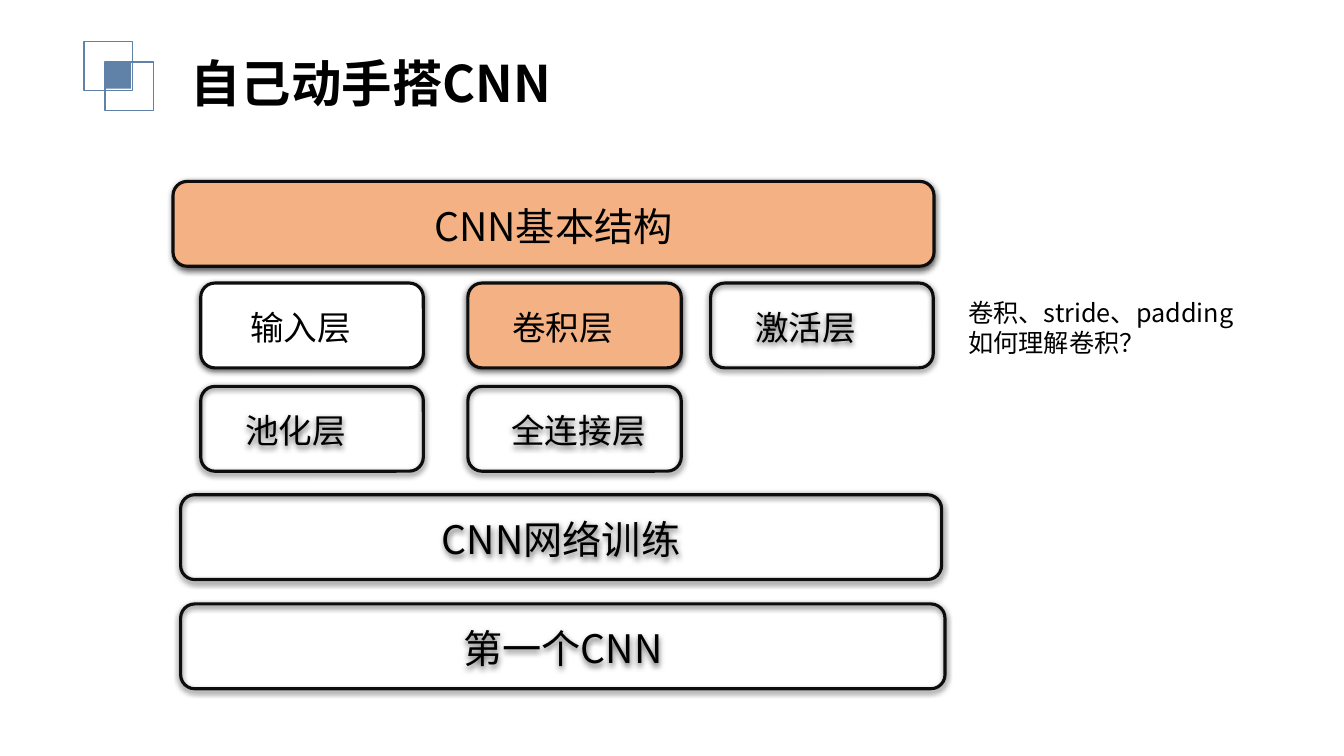
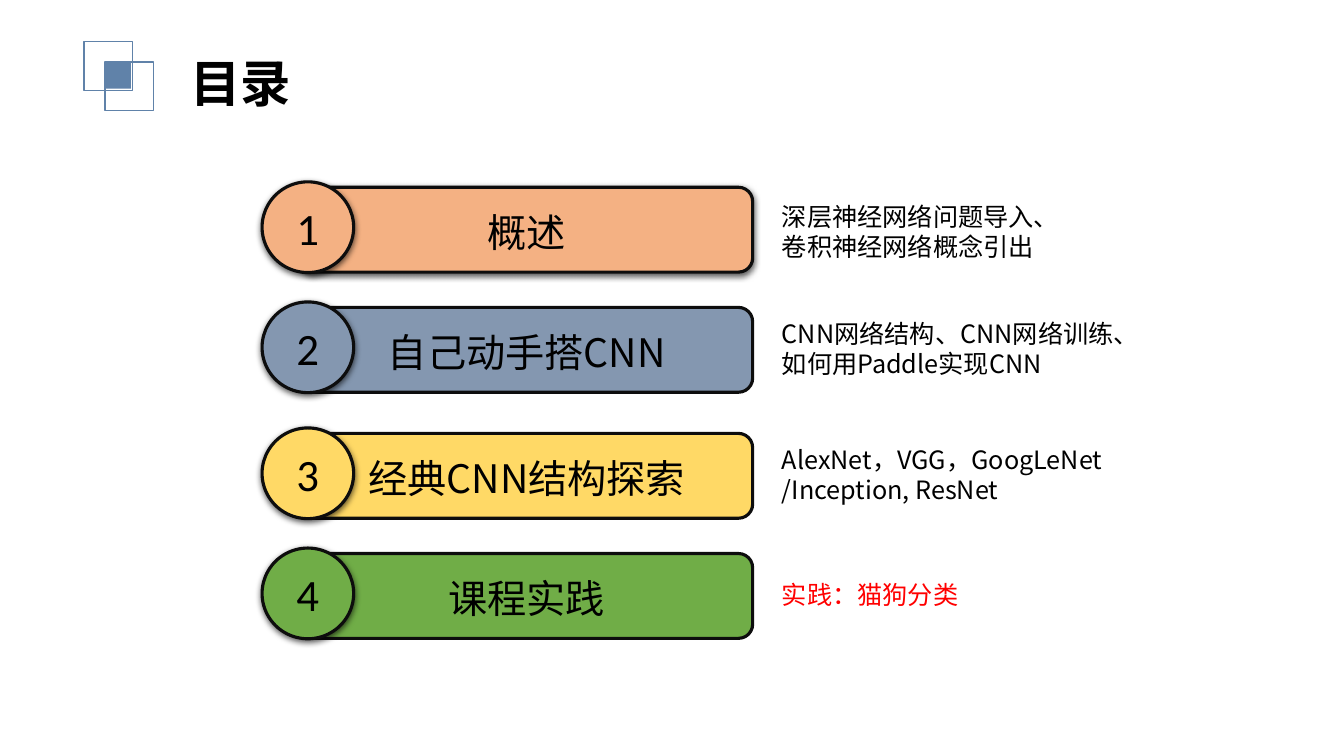
"""Build two outline slides of a lesson on convolutional networks."""
from lxml.etree import SubElement
from pptx import Presentation
from pptx.dml.color import RGBColor
from pptx.enum.shapes import MSO_SHAPE
from pptx.enum.text import MSO_ANCHOR, MSO_AUTO_SIZE, PP_ALIGN
from pptx.oxml.ns import qn
from pptx.util import Inches, Pt

BLACK = RGBColor(0x00, 0x00, 0x00)
WHITE = RGBColor(0xFF, 0xFF, 0xFF)
RED = RGBColor(0xFF, 0x00, 0x00)
INK = RGBColor(0x0D, 0x0D, 0x0D)
STEEL = RGBColor(0x60, 0x82, 0xA9)
ORANGE = RGBColor(0xF4, 0xB1, 0x83)
SLATE = RGBColor(0x84, 0x97, 0xB0)
YELLOW = RGBColor(0xFF, 0xD9, 0x66)
GREEN = RGBColor(0x70, 0xAD, 0x47)

COLUMNS, ROWS = 160, 90
TEXT_FONT, NUMBER_FONT = "Noto Sans CJK SC", "Calibri"
BOX_HEIGHT = 10.1
LABEL_SPACING, NOTE_SPACING = 1.3, 1.2


class Deck:
    """Hold the style and the current slide."""

    def __init__(self):
        """Start an empty wide presentation."""
        self.presentation = Presentation()
        self.presentation.slide_width = Inches(13.33)
        self.presentation.slide_height = Inches(7.5)
        self.slide = None

    def across(self, columns):
        """Turn columns into a length."""
        return round(self.presentation.slide_width * columns / COLUMNS)

    def down(self, rows):
        """Turn rows into a length."""
        return round(self.presentation.slide_height * rows / ROWS)

    def place(self, left, top, width, height):
        """Turn a grid place into four lengths."""
        return self.across(left), self.down(top), self.across(width), self.down(height)

    def new_slide(self, title):
        """Add a slide with the square emblem and a title."""
        self.slide = self.presentation.slides.add_slide(self.presentation.slide_layouts[6])
        for left, top in ((10, 4.95), (12.5, 7.4)):
            self.shape(MSO_SHAPE.RECTANGLE, (left, top, 5.8, 5.8), line=STEEL, weight=1)
        self.shape(MSO_SHAPE.RECTANGLE, (12.6, 7.3, 3, 3.25), fill=STEEL, line=None)
        self.text_box((21.5, 5, 55, 8.5), [title], 36, LABEL_SPACING, bold=True)

    def shape(self, kind, place, fill=None, line=INK, weight=2.25, shadow=False):
        """Add a preset shape."""
        shape = self.slide.shapes.add_shape(kind, *self.place(*place))
        shape.shadow.inherit = False
        if fill is None:
            shape.fill.background()
        else:
            shape.fill.solid()
            shape.fill.fore_color.rgb = fill
        if line is None:
            shape.line.fill.background()
        else:
            shape.line.color.rgb = line
            shape.line.width = Pt(weight)
        if shadow:
            self.drop_shadow(shape)
        return shape

    def drop_shadow(self, shape):
        """Cast a soft shadow below a shape."""
        effects = shape._element.spPr.find(qn("a:effectLst"))
        outer = SubElement(effects, qn("a:outerShdw"), blurRad=str(Pt(4.5)),
                           dist=str(Pt(1.5)), dir="5400000", algn="t", rotWithShape="0")
        color = SubElement(outer, qn("a:srgbClr"), val=str(BLACK))
        SubElement(color, qn("a:alpha"), val="63000")

    def add_text(self, paragraph, text, size, spacing=None, font=TEXT_FONT,
                 color=BLACK, bold=False, align=PP_ALIGN.LEFT):
        """Add one styled run to a paragraph."""
        paragraph.alignment = align
        if spacing:
            paragraph.line_spacing = Pt(size * spacing)
        run = paragraph.add_run()
        run.text = text
        run.font.size = Pt(size)
        run.font.bold = bold
        run.font.color.rgb = color
        run.font.name = font
        SubElement(run._r.get_or_add_rPr(), qn("a:ea"), typeface=font)

    def text_box(self, place, lines, size, spacing, color=BLACK, bold=False):
        """Add a wrapped text box with one paragraph per line."""
        frame = self.slide.shapes.add_textbox(*self.place(*place)).text_frame
        frame.word_wrap = True
        frame.auto_size = MSO_AUTO_SIZE.SHAPE_TO_FIT_TEXT
        for index, line in enumerate(lines):
            paragraph = frame.add_paragraph() if index else frame.paragraphs[0]
            self.add_text(paragraph, line, size, spacing, color=color, bold=bold)

    def note(self, left, top, width, lines, color=BLACK):
        """Add a side note."""
        height = 1.2 + 3.65 * len(lines)
        self.text_box((left, top, width, height), lines, 18, NOTE_SPACING, color)

    def box(self, left, top, width, text, fill=None, size=28, shadow=True,
            indent=0, align=PP_ALIGN.CENTER):
        """Add a rounded box with a label."""
        shape = self.shape(MSO_SHAPE.ROUNDED_RECTANGLE, (left, top, width, BOX_HEIGHT),
                           fill, shadow=shadow)
        frame = shape.text_frame
        frame.margin_left += self.across(indent)
        frame.vertical_anchor = MSO_ANCHOR.MIDDLE
        self.add_text(frame.paragraphs[0], text, size, LABEL_SPACING, align=align)

    def badge(self, left, top, number, fill):
        """Add a numbered circle."""
        shape = self.shape(MSO_SHAPE.OVAL, (left, top, 10.9, 10.8), fill, shadow=True)
        frame = shape.text_frame
        frame.vertical_anchor = MSO_ANCHOR.MIDDLE
        self.add_text(frame.paragraphs[0], str(number), 32, font=NUMBER_FONT,
                      align=PP_ALIGN.CENTER)


def build_structure(deck):
    """Build the slide on the parts of a network."""
    deck.new_slide("自己动手搭CNN")
    deck.box(20.6, 21.6, 90.6, "CNN基本结构", ORANGE)
    first, second, third = (23.9, 26.5), (55.7, 25.4), (84.6, 26.5)
    upper, lower = 33.7, 46
    left, center = PP_ALIGN.LEFT, PP_ALIGN.CENTER
    layers = (
        (first, upper, "输入层", WHITE, 4.2, left),
        (second, upper, "卷积层", ORANGE, 3.6, left),
        (third, upper, "激活层", None, 3.6, left),
        (first, lower, "池化层", None, 3.6, left),
        (second, lower, "全连接层", None, 0.9, center),
    )
    for (column, width), top, name, fill, indent, align in layers:
        deck.box(column, top, width, name, fill, 24, indent=indent, align=align)
    deck.box(21.5, 58.9, 90.6, "CNN网络训练")
    deck.box(21.5, 71.9, 91, "第一个CNN")
    deck.note(114.1, 34.8, 42.2, ["卷积、stride、padding", "如何理解卷积？"])


def build_contents(deck):
    """Build the contents slide."""
    deck.new_slide("目录")
    chapters = (
        (22.3, "概述", ORANGE, 23.4, ["深层神经网络问题导入、", "卷积神经网络概念引出"], BLACK),
        (36.6, "自己动手搭CNN", SLATE, 37.3,
         ["CNN网络结构、CNN网络训练、如何用Paddle实现CNN"], BLACK),
        (51.6, "经典CNN结构探索", YELLOW, 52.3,
         ["AlexNet，VGG，GoogLeNet /Inception, ResNet"], BLACK),
        (65.9, "课程实践", GREEN, 68.4, ["实践：猫狗分类"], RED),
    )
    for number, (top, name, fill, note_top, lines, color) in enumerate(chapters, 1):
        deck.box(35.8, top, 53.8, name, fill, shadow=number == 1)
        deck.badge(31.2, top - 0.65, number, fill)
        deck.note(91.9, note_top, 45.1, lines, color)


def main():
    """Build and save the presentation."""
    deck = Deck()
    build_structure(deck)
    build_contents(deck)
    deck.presentation.save("out.pptx")


if __name__ == "__main__":
    main()
